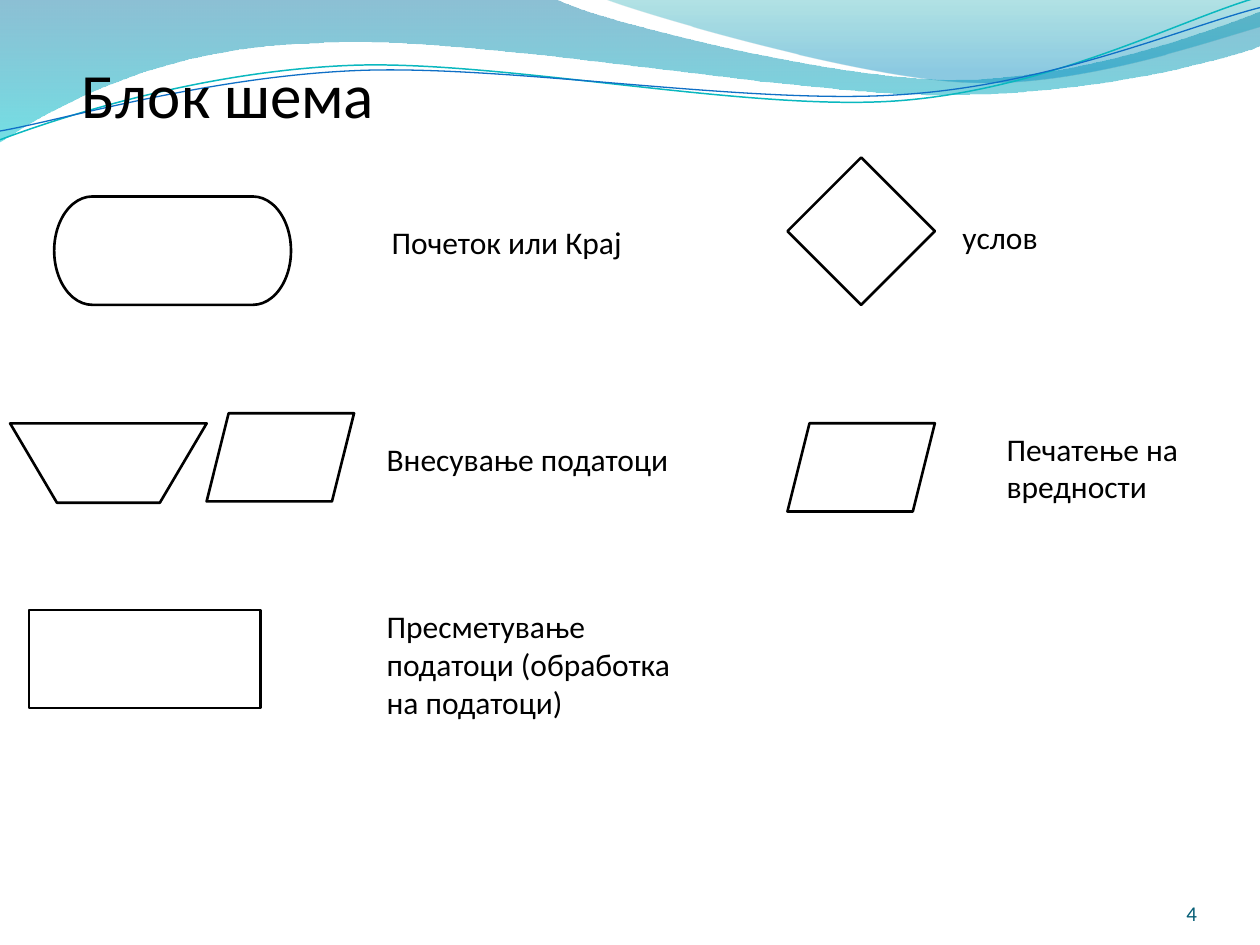
from math import cos, radians, sin

from lxml import etree
from pptx import Presentation
from pptx.dml.color import RGBColor
from pptx.enum.shapes import MSO_SHAPE
from pptx.enum.text import MSO_ANCHOR, PP_ALIGN
from pptx.oxml.ns import qn
from pptx.util import Inches, Pt

TITLE = ("Блок шема", (0.55, 0.39, 8.28, 0.71))
PAGE_NUMBER = ("4", (8.67, 6.95, 0.83, 0.4))
BLACK = "000000"

LEFT_LABELS, RIGHT_SYMBOLS = 2.97, 6.25
SYMBOL_WIDTH, ENTRY_TOP = 1.17, 3.36

SYMBOLS = [
    (MSO_SHAPE.FLOWCHART_TERMINATOR, (0.43, 1.56, 1.88, 0.86)),
    (MSO_SHAPE.FLOWCHART_PROCESS, (0.23, 4.84, 1.84, 0.78)),
    (MSO_SHAPE.FLOWCHART_DECISION, (RIGHT_SYMBOLS, 1.25, SYMBOL_WIDTH, SYMBOL_WIDTH)),
    (MSO_SHAPE.TRAPEZOID, (0.08, ENTRY_TOP, 1.56, 0.63)),
    (MSO_SHAPE.PARALLELOGRAM, (1.64, 3.28, SYMBOL_WIDTH, 0.7)),
    (MSO_SHAPE.PARALLELOGRAM, (RIGHT_SYMBOLS, ENTRY_TOP, SYMBOL_WIDTH, 0.7)),
]

LABELS = [
    ("Почеток или Крај", (3.01, 1.72, 2.34, 0.71)),
    ("Пресметување податоци (обработка на податоци)", (LEFT_LABELS, 4.77, 2.58, 1.01)),
    ("услов", (7.54, 1.68, 1.88, 0.71)),
    ("Внесување податоци", (LEFT_LABELS, 3.44, 2.73, 0.4)),
    ("Печатење на вредности", (7.89, ENTRY_TOP, 1.95, 1.01)),
]

BANDS = [
    ((-0.01, -0.01, 10.02, 1.14),
     [(0, 0), (4.4, -0.01), (4.76, 0.17, 6.64, 0.63, 7.58, 0.63),
      (8.53, 0.63, 9.58, 0.26, 10, 0.09), (10.01, 0.36),
      (9.83, 0.44, 8.7, 0.76, 7.46, 0.75), (6.22, 0.75, 3.82, 0.28, 2.57, 0.34),
      (1.29, 0.36, 0.46, 0.83, -0.01, 1.13), (0, 0)],
     [(0, "0074A1", 45), (100, "00C6CF", 55)]),
    ((4.79, -0.01, 5.21, 0.7),
     [(4.79, -0.01), (5.09, 0.11, 6.82, 0.62, 7.69, 0.65),
      (8.56, 0.69, 9.61, 0.32, 10, 0.21), (10, 0), (4.79, -0.01)],
     [(0, "00A1A9", 30), (80, "008BBF", 45)]),
]

WAVE_TILT = -2.7
WAVES = [
    ((-0.02, 0.22, 10.02, 0.71),
     [(0, 1.11), (0.48, 0.93, 1.58, 0.57, 2.77, 0.52),
      (3.95, 0.47, 5.93, 0.89, 7.13, 0.8), (8.33, 0.71, 9.38, 0.15, 9.98, -0.02)],
     "0AB8BF", 0.85),
    ((-0.02, 0.3, 10.03, 0.58),
     [(0, 1.04), (0.47, 0.96, 1.64, 0.61, 2.83, 0.56),
      (4.03, 0.51, 5.97, 0.84, 7.17, 0.75), (8.36, 0.67, 9.41, 0.21, 10, 0.06)],
     "0F6FC6", 0.75),
]


def color(value):
    return RGBColor.from_string(value)


def inches(lengths):
    return [Inches(length) for length in lengths]


def place_shape(shape, place):
    shape.left, shape.top, shape.width, shape.height = inches(place)


def local_point(x, y, place, tilt):
    left, top, width, height = place
    angle = radians(-tilt)
    across, down = x - left - width / 2, y - top - height / 2
    return inches((across * cos(angle) - down * sin(angle) + width / 2,
                   across * sin(angle) + down * cos(angle) + height / 2))


def add_curve(slide, place, segments, tilt=0, close=False):
    start, *ends = [inches(segment[-2:]) for segment in segments]
    builder = slide.shapes.build_freeform(*start)
    builder.add_line_segments(ends, close=close)
    shape = builder.convert_to_shape()
    shape.shadow.inherit = False
    place_shape(shape, place)
    shape.rotation = tilt % 360
    track = next(shape.element.spPr.iter(qn("a:path")))
    track.set("w", str(shape.width))
    track.set("h", str(shape.height))
    for step, segment in zip(list(track), segments):
        if len(segment) == 6:
            step.tag_name = None
            curve = etree.Element(qn("a:cubicBezTo"))
            track.replace(step, curve)
            step = curve
        for point in list(step):
            step.remove(point)
        for x, y in zip(segment[::2], segment[1::2]):
            across, down = local_point(x, y, place, tilt)
            etree.SubElement(step, qn("a:pt"), x=str(across), y=str(down))
    return shape


def fill_gradient(shape, stops):
    shape.fill.gradient()
    gradient = shape.element.spPr.find(qn("a:gradFill"))
    for child in list(gradient):
        gradient.remove(child)
    stop_list = etree.SubElement(gradient, qn("a:gsLst"))
    for position, value, opacity in stops:
        stop = etree.SubElement(stop_list, qn("a:gs"), pos=str(position * 1000))
        tone = etree.SubElement(stop, qn("a:srgbClr"), val=value)
        etree.SubElement(tone, qn("a:alpha"), val=str(opacity * 1000))
    etree.SubElement(gradient, qn("a:lin"), ang="5400000", scaled="0")


def outline(shape, value, width):
    shape.fill.background()
    shape.line.color.rgb = color(value)
    shape.line.width = Pt(width)


def write(box, text, size, value=BLACK, align=PP_ALIGN.LEFT, anchor=MSO_ANCHOR.TOP):
    frame = box.text_frame
    frame.text = text
    frame.word_wrap = True
    frame.vertical_anchor = anchor
    para = frame.paragraphs[0]
    para.alignment = align
    font = para.runs[0].font
    font.name = "Calibri"
    font.size = Pt(size)
    font.color.rgb = color(value)
    return frame


def main():
    deck = Presentation()
    deck.slide_width, deck.slide_height = Inches(10), Inches(7.5)
    slide = deck.slides.add_slide(deck.slide_layouts[5])
    shapes = slide.shapes

    for place, segments, stops in BANDS:
        band = add_curve(slide, place, segments, close=True)
        fill_gradient(band, stops)
        band.line.fill.background()
    for place, segments, value, width in WAVES:
        outline(add_curve(slide, place, segments, WAVE_TILT), value, width)

    for kind, place in SYMBOLS:
        symbol = shapes.add_shape(kind, *inches(place))
        symbol.shadow.inherit = False
        outline(symbol, BLACK, 1.5)
        if kind == MSO_SHAPE.TRAPEZOID:
            symbol.adjustments[0] = 0.59
            symbol.rotation = 180
    for text, place in LABELS:
        write(shapes.add_textbox(*inches(place)), text, 18)

    text, place = PAGE_NUMBER
    frame = write(shapes.add_textbox(*inches(place)), text, 12, "045D75",
                  PP_ALIGN.RIGHT, MSO_ANCHOR.BOTTOM)
    frame.margin_left = frame.margin_right = frame.margin_top = frame.margin_bottom = 0

    text, place = TITLE
    title = shapes.title
    place_shape(title, place)
    write(title, text, 36)
    shapes.element.append(title.element)

    deck.save("out.pptx")


if __name__ == "__main__":
    main()
